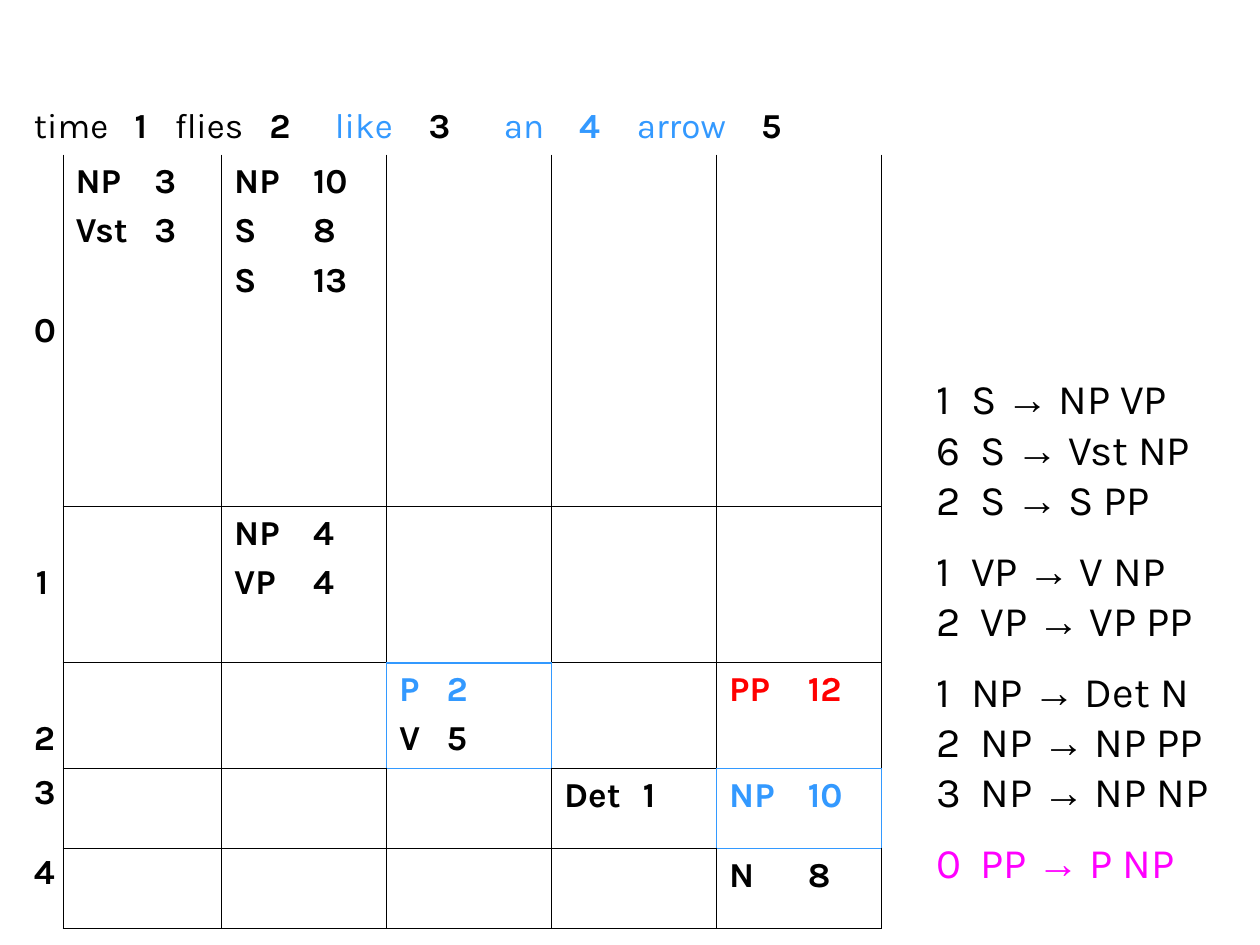
from dataclasses import dataclass

from lxml import etree
from pptx import Presentation
from pptx.dml.color import RGBColor
from pptx.enum.text import MSO_ANCHOR, PP_ALIGN
from pptx.oxml.ns import qn
from pptx.util import Pt

CENTER, LEFT = PP_ALIGN.CENTER, PP_ALIGN.LEFT
MIDDLE = MSO_ANCHOR.MIDDLE

BLACK, BLUE, RED, MAGENTA = "000000", "3399FF", "FF0000", "FF00FF"
TEXT_FONT, ARROW_FONT = "Karla", "Arial"
THIN, THICK = 0.45, 1.08

COLUMN_WIDTHS = [23.8, 90.7] + [94.3] * 4
ROW_HEIGHTS = [31.5, 201.2, 89.2, 60.5, 45.7, 45.7]
LAST_ROW, LAST_COLUMN = len(ROW_HEIGHTS) - 1, len(COLUMN_WIDTHS) - 1
HIGHLIGHTED = {(3, 3), (4, 5)}
NEIGHBOURS = {"L": (0, -1), "R": (0, 1), "T": (-1, 0), "B": (1, 0)}


@dataclass
class Word:
    text: str
    stop: float
    color: str = BLACK
    bold: bool = False


@dataclass
class Entry:
    symbol: str
    weight: int
    color: str = BLACK


@dataclass
class Rule:
    weight: int
    left: str
    right: str
    spacing: float = 1.0
    color: str = BLACK


SENTENCE = [
    Word("time", 0), Word("1", 57.5, bold=True),
    Word("flies", 80.5), Word("2", 134.5, bold=True),
    Word("like", 172, BLUE), Word("3", 225.5, bold=True),
    Word("an", 268.5, BLUE), Word("4", 311.5, BLUE, True),
    Word("arrow", 344.5, BLUE), Word("5", 415.5, bold=True),
]
# Line spacing of the row labels; the first label is centred in its row
LABEL_SPACING = [1.0, 2.2, 2.2, 0.9, 0.9]
CHART = {
    (1, 1): [Entry("NP", 3), Entry("Vst", 3)],
    (1, 2): [Entry("NP", 10), Entry("S", 8), Entry("S", 13)],
    (2, 2): [Entry("NP", 4), Entry("VP", 4)],
    (3, 3): [Entry("P", 2, BLUE), Entry("V", 5)],
    (3, 5): [Entry("PP", 12, RED)],
    (4, 4): [Entry("Det", 1)],
    (4, 5): [Entry("NP", 10, BLUE)],
    (5, 5): [Entry("N", 8)],
}
GRAMMAR = [
    Rule(1, "S", "NP VP"), Rule(6, "S", "Vst NP"), Rule(2, "S", "S PP"),
    Rule(1, "VP", "V NP", 1.4), Rule(2, "VP", "VP PP"),
    Rule(1, "NP", "Det N", 1.4), Rule(2, "NP", "NP PP"),
    Rule(3, "NP", "NP NP"),
    Rule(0, "PP", "P NP", 1.4, MAGENTA),
]


def rgb(color: str) -> RGBColor:
    return RGBColor.from_string(color)


def add_text(paragraph, text: str, *, size: float = 20, color: str = BLACK,
             bold: bool = False, font: str = TEXT_FONT) -> None:
    run = paragraph.add_run()
    run.text = text
    run.font.name = font
    run.font.size = Pt(size)
    run.font.bold = bold
    run.font.color.rgb = rgb(color)


def next_paragraph(frame, index: int, *, stops: tuple = (), before: float = 0,
                   spacing: float = 1.0, align=LEFT):
    """Return the paragraph at this index, adding it after the first."""
    paragraph = frame.add_paragraph() if index else frame.paragraphs[0]
    if stops:
        properties = paragraph._p.get_or_add_pPr()
        tab_list = etree.SubElement(properties, qn("a:tabLst"))
        for stop in stops:
            etree.SubElement(tab_list, qn("a:tab"), pos=str(int(Pt(stop))), algn="l")
    paragraph.alignment = align
    paragraph.line_spacing = spacing
    paragraph.space_before = Pt(before if index else 0)
    return paragraph


def edge_style(row: int, column: int, side: str) -> tuple[str, float] | None:
    down, across = NEIGHBOURS[side]
    if {(row, column), (row + down, column + across)} & HIGHLIGHTED:
        return BLUE, THICK
    if row == 0 or (row == 1 and side == "T") or (column == 0 and side != "R"):
        return None
    outer = (column == LAST_COLUMN and side == "R") or (row == LAST_ROW and side == "B")
    return BLACK, THICK if outer else THIN


def draw_borders(cell, row: int, column: int) -> None:
    properties = cell._tc.get_or_add_tcPr()
    for side in NEIGHBOURS:
        line = etree.SubElement(properties, qn(f"a:ln{side}"))
        style = edge_style(row, column, side)
        if style is None:
            etree.SubElement(line, qn("a:noFill"))
            continue
        color, width = style
        line.set("w", str(int(Pt(width))))
        fill = etree.SubElement(line, qn("a:solidFill"))
        etree.SubElement(fill, qn("a:srgbClr"), val=color)


def draw_grid(slide):
    frame = slide.shapes.add_table(
        len(ROW_HEIGHTS), len(COLUMN_WIDTHS), Pt(12.2), Pt(56.9),
        Pt(sum(COLUMN_WIDTHS)), Pt(sum(ROW_HEIGHTS)))
    table = frame.table
    table.first_row = table.horz_banding = False
    for column, width in zip(table.columns, COLUMN_WIDTHS):
        column.width = Pt(width)
    for row, height in zip(table.rows, ROW_HEIGHTS):
        row.height = Pt(height)
    for row in range(LAST_ROW + 1):
        for column in range(LAST_COLUMN + 1):
            cell = table.cell(row, column)
            draw_borders(cell, row, column)
            cell.fill.background()
    table.cell(0, 0).merge(table.cell(0, LAST_COLUMN))
    return table


def fill_sentence(table) -> None:
    stops = tuple(word.stop for word in SENTENCE[1:])
    paragraph = next_paragraph(table.cell(0, 0).text_frame, 0, stops=stops)
    for index, word in enumerate(SENTENCE):
        add_text(paragraph, ("\t" if index else "") + word.text,
                 color=word.color, bold=word.bold)


def fill_labels(table) -> None:
    for label, spacing in enumerate(LABEL_SPACING):
        cell = table.cell(label + 1, 0)
        paragraph = next_paragraph(cell.text_frame, 0, spacing=spacing, align=CENTER)
        add_text(paragraph, str(label), bold=True)
    table.cell(1, 0).vertical_anchor = MIDDLE


def fill_entries(table) -> None:
    for (row, column), entries in CHART.items():
        stop = 27 if column == 3 else 45
        frame = table.cell(row, column).text_frame
        for index, entry in enumerate(entries):
            paragraph = next_paragraph(frame, index, stops=(stop,), before=5)
            add_text(paragraph, f"{entry.symbol}\t{entry.weight}",
                     color=entry.color, bold=True)


def draw_grammar(slide) -> None:
    box = slide.shapes.add_textbox(Pt(527.8), Pt(209.5), Pt(192.2), Pt(301))
    frame = box.text_frame
    frame.word_wrap = True
    for index, rule in enumerate(GRAMMAR):
        stop = 20 if rule.weight == 1 else 25.5
        paragraph = next_paragraph(frame, index, stops=(stop,), spacing=rule.spacing)
        add_text(paragraph, f"{rule.weight}\t{rule.left} ", size=24, color=rule.color)
        add_text(paragraph, "→", size=24, color=rule.color, font=ARROW_FONT)
        add_text(paragraph, f" {rule.right}", size=24, color=rule.color)


def main() -> None:
    presentation = Presentation()
    presentation.slide_width, presentation.slide_height = Pt(720), Pt(540)
    slide = presentation.slides.add_slide(presentation.slide_layouts[6])

    # Parse chart
    table = draw_grid(slide)
    fill_sentence(table)
    fill_labels(table)
    fill_entries(table)

    # Weighted grammar rules
    draw_grammar(slide)
    presentation.save("out.pptx")


if __name__ == "__main__":
    main()
